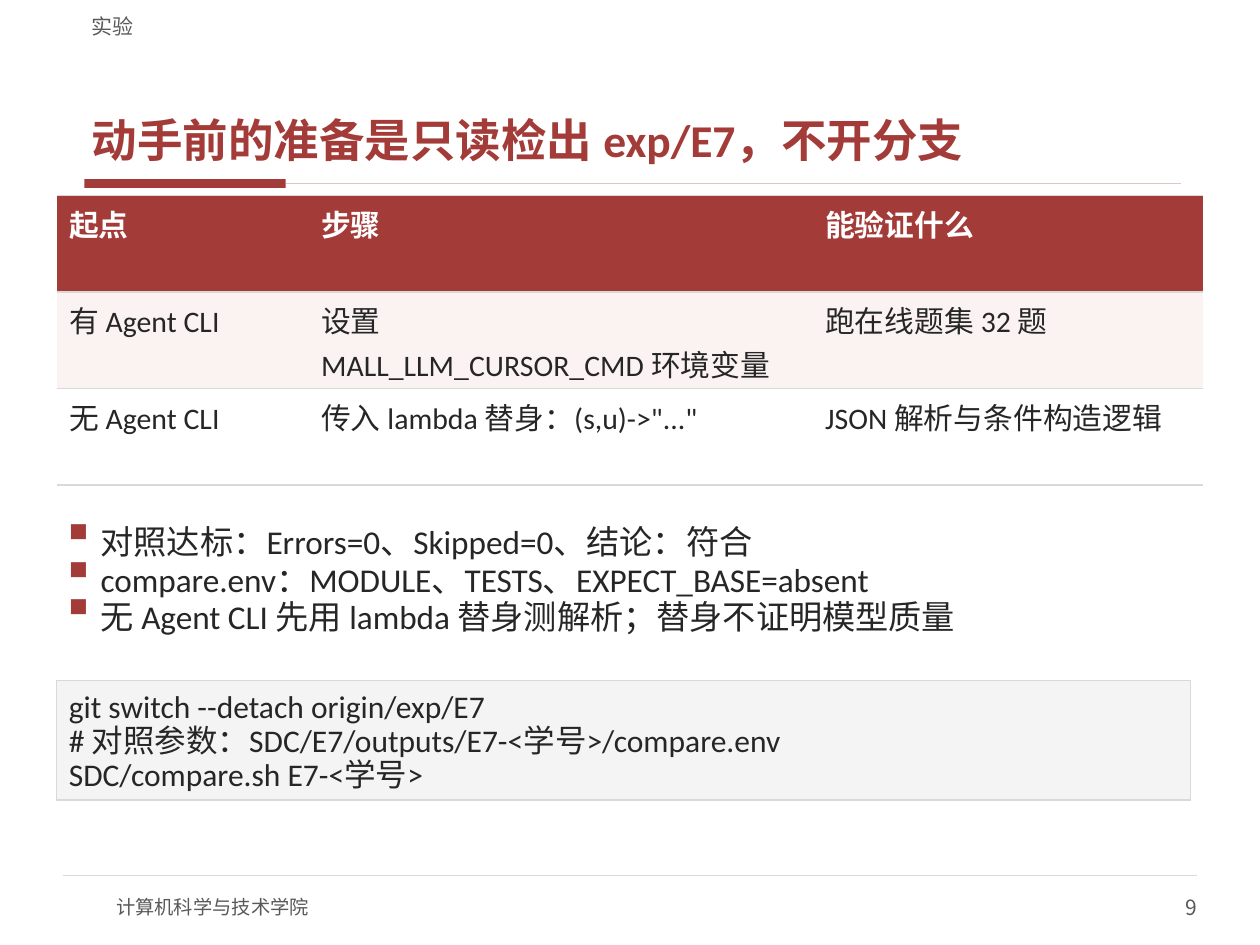
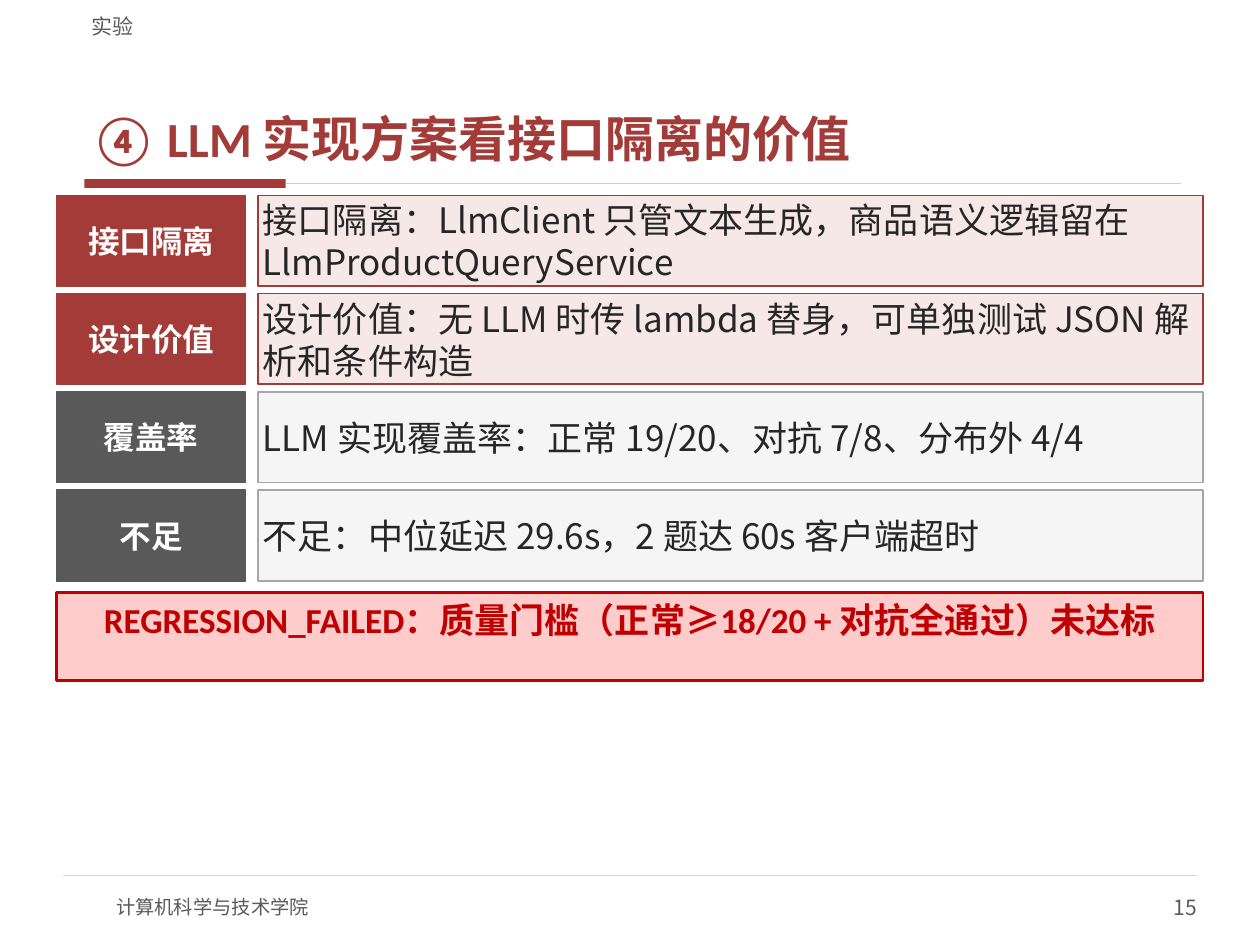
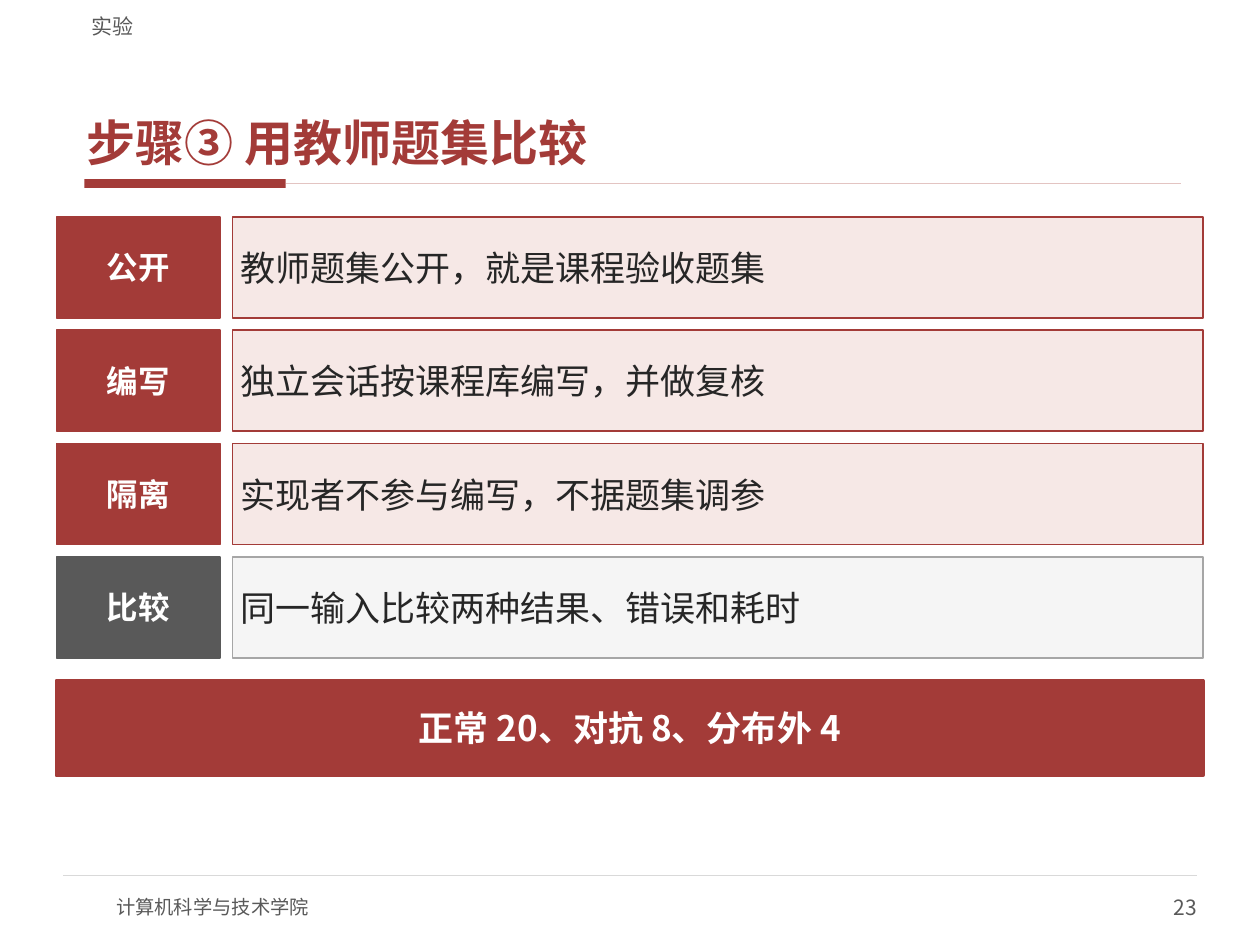
from collections import namedtuple

from lxml import etree
from pptx import Presentation
from pptx.dml.color import RGBColor
from pptx.enum.shapes import MSO_CONNECTOR, MSO_SHAPE
from pptx.enum.text import MSO_ANCHOR, MSO_AUTO_SIZE, PP_ALIGN
from pptx.oxml.ns import qn
from pptx.util import Cm, Pt

RECTANGLE = MSO_SHAPE.RECTANGLE
STRAIGHT = MSO_CONNECTOR.STRAIGHT
TOP, MIDDLE, BOTTOM = MSO_ANCHOR.TOP, MSO_ANCHOR.MIDDLE, MSO_ANCHOR.BOTTOM
LEFT, CENTER, RIGHT = PP_ALIGN.LEFT, PP_ALIGN.CENTER, PP_ALIGN.RIGHT
SHRINK = MSO_AUTO_SIZE.TEXT_TO_FIT_SHAPE

COLORS = {
    "accent": "A33B38", "accent_rule": "E3C4C2", "accent_tint": "F6E8E6",
    "row_tint": "FBF3F2", "white": "FFFFFF", "text": "262626",
    "gray": "595959", "gray_line": "A6A6A6", "gray_tint": "F5F5F5",
    "code": "F4F4F4", "rule": "D9D9D9", "alert": "C00000", "alert_tint": "FFCCCC",
}
LATIN, CHINESE = "Calibri", "Noto Sans CJK SC"

Box = namedtuple("Box", "left top width height")
Style = namedtuple("Style", "size font color bold", defaults=(False,))

SMALL = Style(12, CHINESE, "gray")
FOOTER = Style(11, CHINESE, "gray")
LABEL = Style(18, CHINESE, "white", True)
DETAIL = Style(20, CHINESE, "text")
NO_INSET, LABEL_INSET, DEFAULT_INSET = (0, 0), (0.2, 0.1), (0.25, 0.13)
CONTENT_LEFT, CONTENT_WIDTH = 1.14, 23.11


def rgb(name):
    """Return the named palette colour."""
    return RGBColor.from_string(COLORS[name])


def lengths(box):
    """Return the four measures of a box as lengths."""
    return [Cm(value) for value in box]


def add_run(paragraph, text, style):
    """Append one styled run to a paragraph."""
    run = paragraph.add_run()
    run.text = text
    run.font.size = Pt(style.size)
    run.font.bold = style.bold
    run.font.color.rgb = rgb(style.color)
    run.font.name = style.font
    properties = run.font._element
    etree.SubElement(properties, qn("a:ea")).set("typeface", CHINESE)


def write(shape, lines, style, align=LEFT, anchor=TOP, inset=DEFAULT_INSET):
    """Fill a shape with one paragraph per line and return its text frame."""
    frame = shape.text_frame
    frame.word_wrap = True
    frame.vertical_anchor = anchor
    frame.margin_left = frame.margin_right = Cm(inset[0])
    frame.margin_top = frame.margin_bottom = Cm(inset[1])
    for index, line in enumerate(lines):
        paragraph = frame.add_paragraph() if index else frame.paragraphs[0]
        paragraph.alignment = align
        add_run(paragraph, line, style)
    return frame


def add_text(slide, box, lines, style, **layout):
    """Add a text box and return its text frame."""
    return write(slide.shapes.add_textbox(*lengths(box)), lines, style, **layout)


def add_panel(slide, box, fill, line=None, weight=1):
    """Add a filled rectangle, outlined when a line colour is given."""
    panel = slide.shapes.add_shape(RECTANGLE, *lengths(box))
    panel.shadow.inherit = False
    panel.fill.solid()
    panel.fill.fore_color.rgb = rgb(fill)
    if line:
        panel.line.color.rgb = rgb(line)
        panel.line.width = Pt(weight)
    else:
        panel.line.fill.background()
    return panel


def add_rule(slide, left, right, top, color, weight):
    """Add a horizontal rule."""
    rule = slide.shapes.add_connector(STRAIGHT, Cm(left), Cm(top), Cm(right), Cm(top))
    rule.line.color.rgb = rgb(color)
    rule.line.width = Pt(weight)
    etree.SubElement(rule._element.spPr, qn("a:effectLst"))
    return rule


def add_frame(presentation, number):
    """Add a slide with its title rule, section name and footer."""
    slide = presentation.slides.add_slide(presentation.slide_layouts[6])
    bar = add_panel(slide, Box(1.7, 3.61, 4.06, 0.18), "accent")
    rule = add_rule(slide, 5.76, 23.8, 3.7, "accent_rule", 1)
    rule.begin_connect(bar, 3)
    add_rule(slide, 1.27, 24.13, 17.65, "rule", 0.75)
    add_text(slide, Box(2.34, 17.78, 10.16, 1.02), ["计算机科学与技术学院"], FOOTER,
             anchor=MIDDLE, inset=NO_INSET)
    add_text(slide, Box(19.05, 17.78, 5.08, 1.02), [str(number)], SMALL,
             align=RIGHT, anchor=MIDDLE, inset=NO_INSET)
    add_text(slide, Box(1.6, 0.1, 22.23, 0.69), ["实验"], SMALL,
             anchor=BOTTOM, inset=(0.25, 0))
    return slide


def add_title(slide, text, size, font=LATIN, spacing=0.9, after=0, inset=DEFAULT_INSET):
    """Add the slide title above the accent bar."""
    frame = add_text(slide, Box(1.6, 0.84, 22.23, 2.67), [text],
                     Style(size, font, "accent", True), anchor=BOTTOM, inset=inset)
    frame.paragraphs[0].line_spacing = spacing
    frame.paragraphs[0].space_after = Pt(after)


def add_cell_borders(cell):
    """Draw thin rules above and below a table cell."""
    properties = cell._tc.get_or_add_tcPr()
    for side, width in (("lnL", 0), ("lnR", 0), ("lnT", 0.75), ("lnB", 0.75)):
        line = etree.SubElement(properties, qn(f"a:{side}"), w=str(Pt(width)))
        if width:
            fill = etree.SubElement(line, qn("a:solidFill"))
            etree.SubElement(fill, qn("a:srgbClr"), val=COLORS["rule"])
        else:
            etree.SubElement(line, qn("a:noFill"))


def add_grid(slide, box, column_widths, rows):
    """Add a table with an accent header and tinted odd rows."""
    table = slide.shapes.add_table(len(rows), len(column_widths), *lengths(box)).table
    for column, width in zip(table.columns, column_widths):
        column.width = Cm(width)
    for row_index, values in enumerate(rows):
        table.rows[row_index].height = Cm(box.height / len(rows))
        header = row_index == 0
        fill = "accent" if header else "row_tint" if row_index % 2 else "white"
        style = Style(17, LATIN, "white" if header else "text", header)
        for column_index, value in enumerate(values):
            cell = table.cell(row_index, column_index)
            add_cell_borders(cell)
            cell.fill.solid()
            cell.fill.fore_color.rgb = rgb(fill)
            paragraph = cell.text_frame.paragraphs[0]
            for line_index, line in enumerate(value.split("\n")):
                if line_index:
                    paragraph.add_line_break()
                add_run(paragraph, line, style)


def add_bullets(slide, box, lines):
    """Add a list with small square accent bullets."""
    frame = add_text(slide, box, lines, Style(20, LATIN, "text"))
    frame.auto_size = SHRINK
    for index, paragraph in enumerate(frame.paragraphs):
        if index:
            paragraph.space_before = Pt(4)
        properties = paragraph._p.get_or_add_pPr()
        properties.set("marL", str(Cm(0.64)))
        properties.set("indent", str(-Cm(0.64)))
        color = etree.SubElement(properties, qn("a:buClr"))
        etree.SubElement(color, qn("a:srgbClr"), val=COLORS["accent"])
        etree.SubElement(properties, qn("a:buSzPct"), val="80000")
        etree.SubElement(properties, qn("a:buChar"), char="■")


def add_labeled_rows(slide, box, label_width, gap, inset, rows):
    """Stack equal rows, each a solid label beside a tinted detail."""
    column_gap = 0.25
    height = (box.height - gap * (len(rows) - 1)) / len(rows)
    detail_left = box.left + label_width + column_gap
    detail_width = box.width - label_width - column_gap
    for index, (label, detail, emphasized) in enumerate(rows):
        top = box.top + index * (height + gap)
        solid, tint, outline = (("accent", "accent_tint", "accent") if emphasized
                                else ("gray", "gray_tint", "gray_line"))
        label_panel = add_panel(slide, Box(box.left, top, label_width, height), solid, solid)
        write(label_panel, [label], LABEL, CENTER, MIDDLE, LABEL_INSET)
        detail_panel = add_panel(slide, Box(detail_left, top, detail_width, height),
                                 tint, outline)
        write(detail_panel, [detail], DETAIL, LEFT, MIDDLE, inset).auto_size = SHRINK


def build_preparation(presentation):
    """Build the slide on preparing the checkout."""
    slide = add_frame(presentation, 9)
    add_title(slide, "动手前的准备是只读检出 exp/E7，不开分支", 26)
    add_grid(slide, Box(CONTENT_LEFT, 3.94, CONTENT_WIDTH, 5.84), (5.08, 10.16, 7.87), [
        ("起点", "步骤", "能验证什么"),
        ("有 Agent CLI", "设置\nMALL_LLM_CURSOR_CMD 环境变量", "跑在线题集 32 题"),
        ("无 Agent CLI", '传入 lambda 替身：(s,u)->"..."', "JSON 解析与条件构造逻辑"),
    ])
    add_bullets(slide, Box(CONTENT_LEFT, 10.41, 22.86, 3.05), [
        "对照达标：Errors=0、Skipped=0、结论：符合",
        "compare.env：MODULE、TESTS、EXPECT_BASE=absent",
        "无 Agent CLI 先用 lambda 替身测解析；替身不证明模型质量",
    ])
    commands = add_panel(slide, Box(CONTENT_LEFT, 13.72, 22.86, 2.41), "code", "rule", 0.75)
    write(commands, [
        "git switch --detach origin/exp/E7",
        "# 对照参数：SDC/E7/outputs/E7-<学号>/compare.env",
        "SDC/compare.sh E7-<学号>",
    ], Style(18, LATIN, "text")).auto_size = SHRINK


def build_isolation(presentation):
    """Build the slide on the value of interface isolation."""
    slide = add_frame(presentation, 15)
    add_title(slide, "④ LLM 实现方案看接口隔离的价值", 28)
    verdict = add_panel(slide, Box(CONTENT_LEFT, 11.94, CONTENT_WIDTH, 1.78),
                        "alert_tint", "alert", 1.5)
    write(verdict, ["REGRESSION_FAILED：质量门槛（正常≥18/20 + 对抗全通过）未达标"],
          Style(20, LATIN, "alert", True), CENTER)
    add_labeled_rows(slide, Box(CONTENT_LEFT, 3.94, CONTENT_WIDTH, 7.77), 3.81, 0.15, (0.1, 0.05), [
        ("接口隔离", "接口隔离：LlmClient 只管文本生成，商品语义逻辑留在 LlmProductQueryService", True),
        ("设计价值", "设计价值：无 LLM 时传 lambda 替身，可单独测试 JSON 解析和条件构造", True),
        ("覆盖率", "LLM 实现覆盖率：正常 19/20、对抗 7/8、分布外 4/4", False),
        ("不足", "不足：中位延迟 29.6s，2 题达 60s 客户端超时", False),
    ])


def build_comparison(presentation):
    """Build the slide on comparing with the teacher's question set."""
    slide = add_frame(presentation, 23)
    add_title(slide, "步骤③ 用教师题集比较", 28, CHINESE, 1.0, 2, (0.15, 0.05))
    add_labeled_rows(slide, Box(CONTENT_LEFT, 4.37, CONTENT_WIDTH, 8.89), 3.3, 0.25, (0.15, 0.08), [
        ("公开", "教师题集公开，就是课程验收题集", True),
        ("编写", "独立会话按课程库编写，并做复核", True),
        ("隔离", "实现者不参与编写，不据题集调参", True),
        ("比较", "同一输入比较两种结果、错误和耗时", False),
    ])
    totals = add_panel(slide, Box(CONTENT_LEFT, 13.72, CONTENT_WIDTH, 1.91),
                       "accent", "accent", 2.25)
    write(totals, ["正常 20、对抗 8、分布外 4"], Style(20, CHINESE, "white", True),
          CENTER, MIDDLE, LABEL_INSET)


def main():
    """Build and save the presentation."""
    presentation = Presentation()
    presentation.slide_width, presentation.slide_height = Cm(25.4), Cm(19.05)
    build_preparation(presentation)
    build_isolation(presentation)
    build_comparison(presentation)
    presentation.save("out.pptx")


if __name__ == "__main__":
    main()
